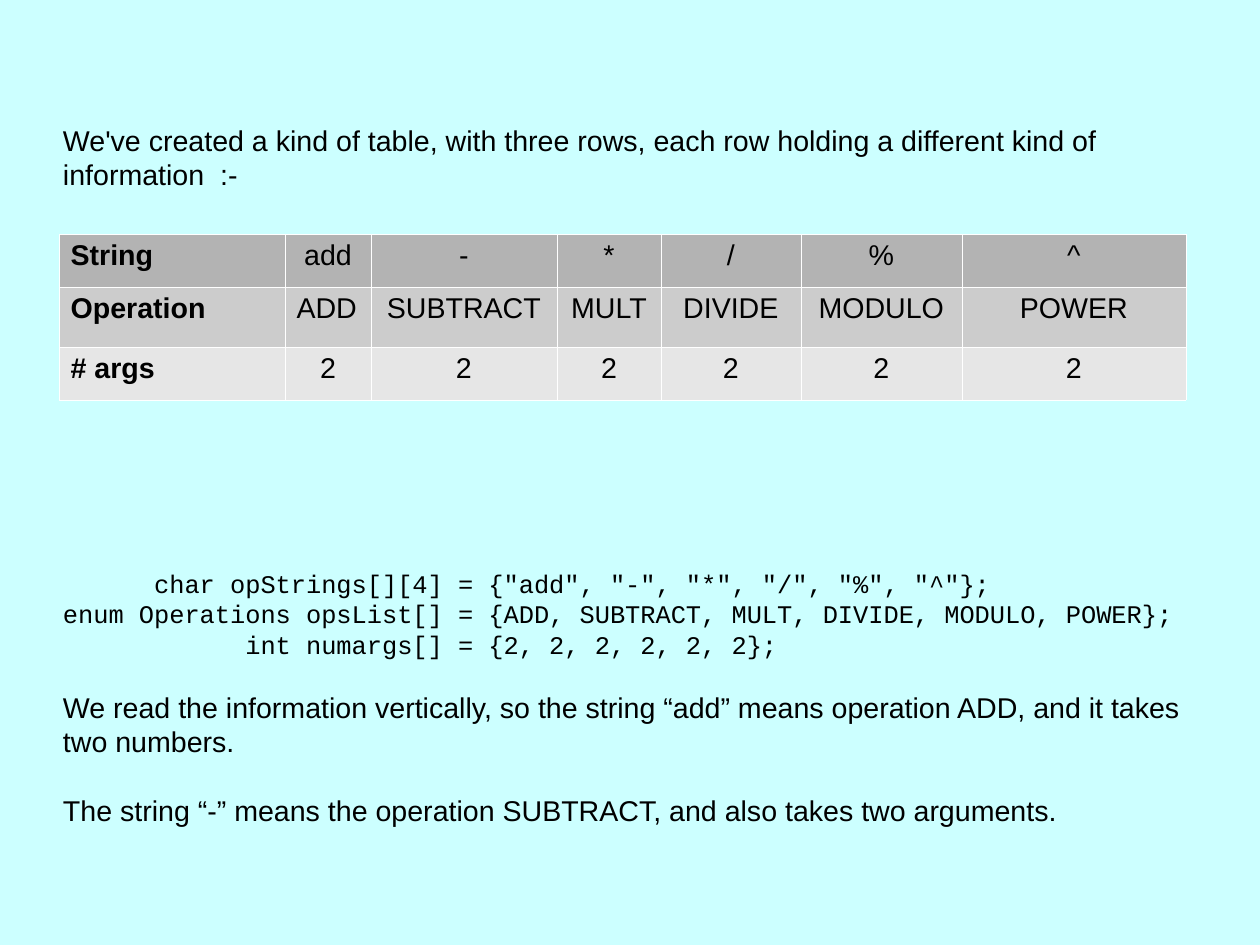
import pptx
import pptx.dml.color
import pptx.enum.text
import pptx.oxml
import pptx.oxml.ns
import pptx.util

INTRO = [
    "We've created a kind of table, with three rows, each row holding a "
    "different kind of information  :-",
]
CODE = [
    '      char opStrings[][4] = {"add", "-", "*", "/", "%", "^"};',
    "enum Operations opsList[] = {ADD, SUBTRACT, MULT, DIVIDE, MODULO, POWER};",
    "            int numargs[] = {2, 2, 2, 2, 2, 2};",
]
EXPLANATION = [
    "We read the information vertically, so the string “add” means operation "
    "ADD, and it takes two numbers.",
    "The string “-” means the operation SUBTRACT, and also takes two arguments.",
]
OPERATIONS = [
    ["String", "add", "-", "*", "/", "%", "^"],
    ["Operation", "ADD", "SUBTRACT", "MULT", "DIVIDE", "MODULO", "POWER"],
    ["# args"] + ["2"] * 6,
]
LEFT_ALIGNED = ("String", "Operation", "# args", "ADD")
COLUMN_WIDTHS = [17.93, 6.81, 14.77, 8.25, 11.1, 12.78, 17.79]
ROW_HEIGHTS = [5.61, 6.35, 5.61]
ROW_FILLS = ["B3B3B3", "CCCCCC", "E6E6E6"]


def colour(value):
    return pptx.dml.color.RGBColor.from_string(value)


class SlideBuilder:
    """Places elements on a grid of 100 columns by 100 rows."""

    body_font, code_font = "Arial", "Courier New"
    body_size, code_size = 18, 16
    ink, background, border = "000000", "CCFFFF", "FFFFFF"
    border_width = pptx.util.Pt(0.06)
    line_factor = 1.2

    def __init__(self, presentation):
        self.column = presentation.slide_width / 100
        self.row = presentation.slide_height / 100
        self.slide = presentation.slides.add_slide(presentation.slide_layouts[6])
        fill = self.slide.background.fill
        fill.solid()
        fill.fore_color.rgb = colour(self.background)

    def place(self, left, top, width, height):
        return (round(left * self.column), round(top * self.row),
                round(width * self.column), round(height * self.row))

    def style_runs(self, paragraph, font, size, bold=False):
        for run in paragraph.runs:
            run.font.name = font
            run.font.size = pptx.util.Pt(size)
            run.font.bold = bold
            run.font.color.rgb = colour(self.ink)

    def text(self, lines, top, height, font=body_font, size=body_size, gap=0):
        """Adds a text box; gap is the space between paragraphs, in lines."""
        box = self.slide.shapes.add_textbox(*self.place(5, top, 90.71, height))
        frame = box.text_frame
        frame.word_wrap = True
        frame.margin_left = frame.margin_right = 0
        frame.margin_top = frame.margin_bottom = 0
        frame.text = "\n".join(lines)
        line_height = size * self.line_factor
        for index, paragraph in enumerate(frame.paragraphs):
            paragraph.line_spacing = pptx.util.Pt(line_height)
            paragraph.space_before = pptx.util.Pt(line_height * gap if index else 0)
            self.style_runs(paragraph, font, size)

    def code(self, lines, top, height):
        self.text(lines, top, height, self.code_font, self.code_size)

    def table(self, rows, left, top, widths, heights, fills):
        frame = self.slide.shapes.add_table(
            len(rows), len(widths),
            *self.place(left, top, sum(widths), sum(heights)))
        table = frame.table
        for column, width in zip(table.columns, widths):
            column.width = round(width * self.column)
        for row, height, fill, values in zip(table.rows, heights, fills, rows):
            row.height = round(height * self.row)
            for index, (cell, value) in enumerate(zip(row.cells, values)):
                self.cell(cell, value, fill, is_header=index == 0)

    def cell(self, cell, value, fill, is_header):
        self.cell_borders(cell)
        cell.fill.solid()
        cell.fill.fore_color.rgb = colour(fill)
        cell.text_frame.text = value
        paragraph = cell.text_frame.paragraphs[0]
        alignment = pptx.enum.text.PP_ALIGN
        paragraph.alignment = (
            alignment.LEFT if value in LEFT_ALIGNED else alignment.CENTER)
        self.style_runs(paragraph, self.body_font, self.body_size, is_header)

    def cell_borders(self, cell):
        properties = cell._tc.get_or_add_tcPr()
        for side in ("lnL", "lnR", "lnT", "lnB"):
            properties.append(pptx.oxml.parse_xml(
                f'<a:{side} {pptx.oxml.ns.nsdecls("a")} w="{self.border_width}">'
                f'<a:solidFill><a:srgbClr val="{self.border}"/></a:solidFill>'
                f'</a:{side}>'))


def main():
    presentation = pptx.Presentation()
    presentation.slide_width = pptx.util.Cm(28)
    presentation.slide_height = pptx.util.Cm(21)
    builder = SlideBuilder(presentation)
    builder.text(INTRO, top=12.98, height=7.25)
    builder.table(OPERATIONS, 4.7, 24.77, COLUMN_WIDTHS, ROW_HEIGHTS, ROW_FILLS)
    builder.code(CODE, top=60.1, height=9.67)
    builder.text(EXPLANATION, top=72.98, height=14.51, gap=1)
    presentation.save("out.pptx")


if __name__ == "__main__":
    main()
